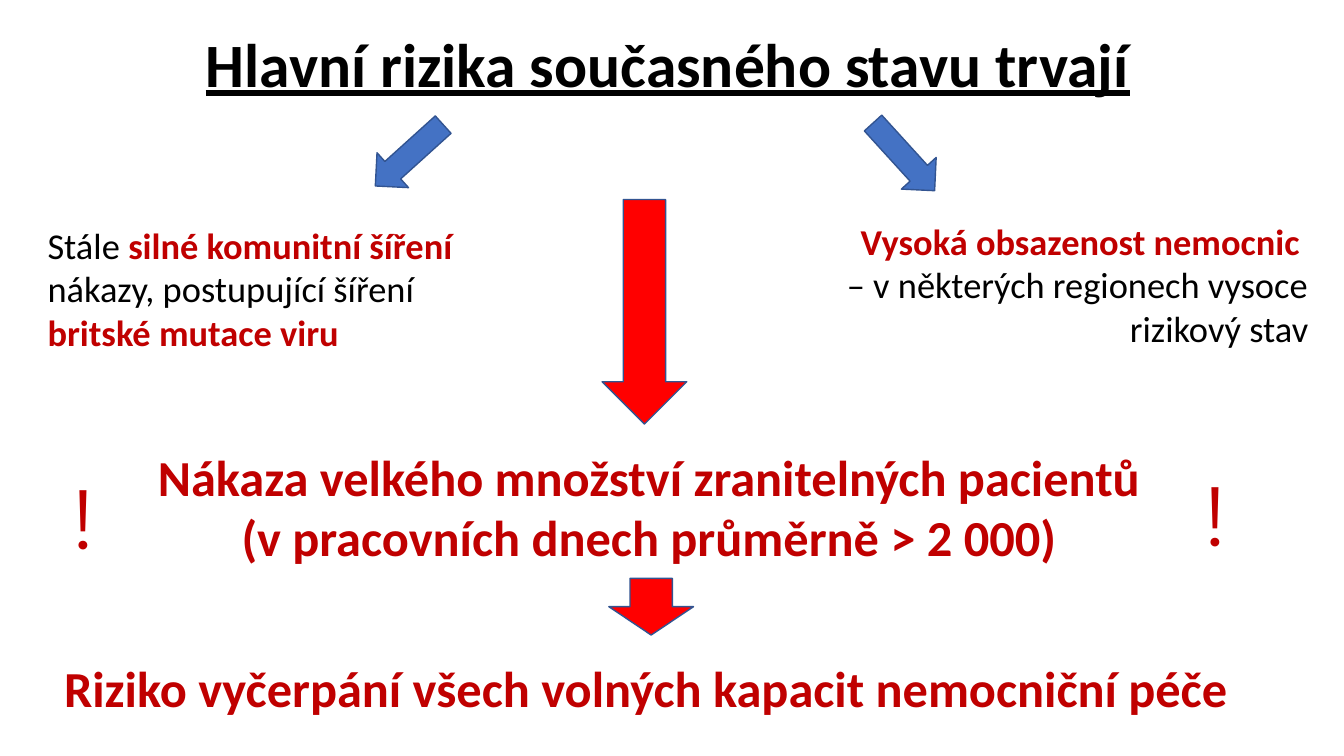
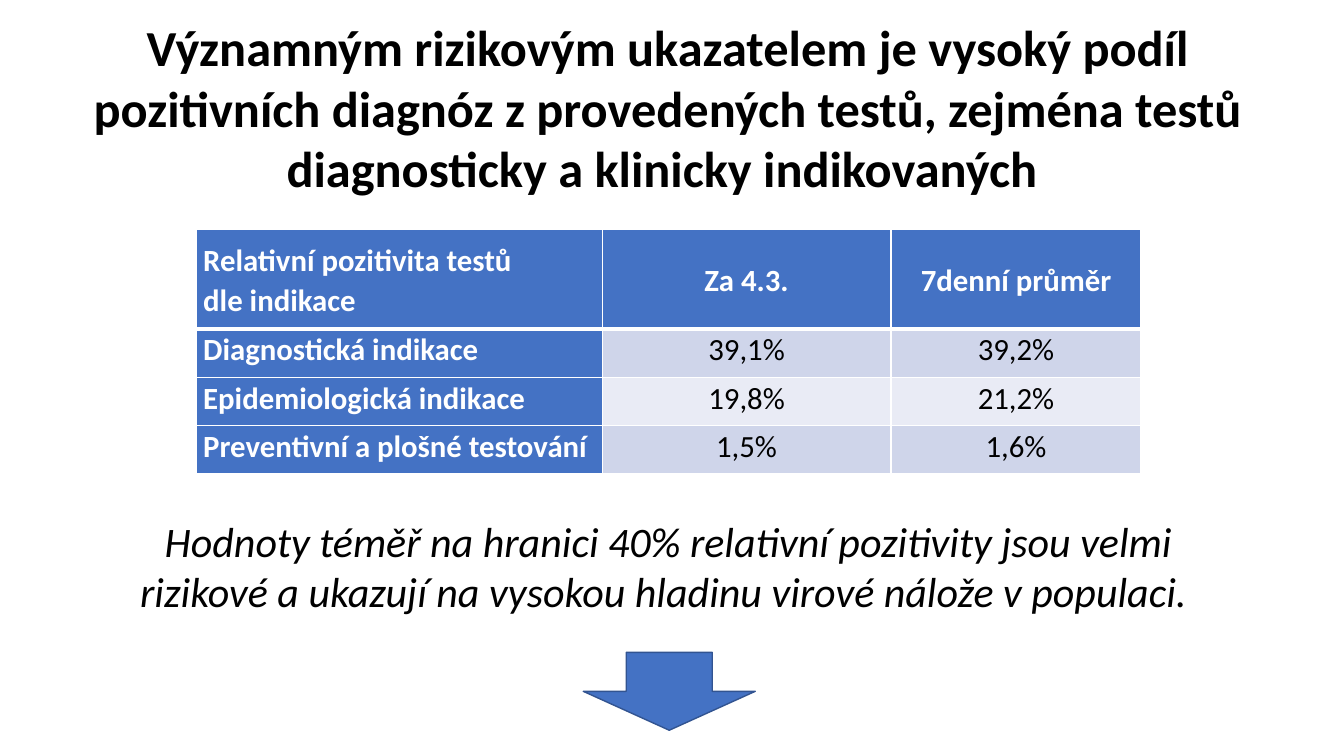
"""Build two slides on the main risks of the epidemic and on test positivity."""
from lxml.etree import SubElement as Sub
from pptx import Presentation as Deck
from pptx.dml.color import RGBColor as RGB
from pptx.enum.shapes import MSO_SHAPE as Form
from pptx.enum.text import MSO_ANCHOR as Anchor, MSO_AUTO_SIZE as Fit, PP_ALIGN as Align
from pptx.oxml.ns import qn
from pptx.util import Inches, Pt

WIDE, HIGH = Inches(13.33), Inches(7.5)
HUES = {
    "black": "000000", "white": "FFFFFF", "blue": "4472C4", "edge": "325491",
    "red": "FF0000", "dark": "C00000", "odd": "CFD5EA", "even": "E9EBF5",
}
BASE = {"name": "Calibri", "bold": False, "color": "black"}
HEAD = {"size": 44, "bold": True}
NOTE = {"size": 26}
KEY = {**NOTE, "bold": True, "color": "dark"}
BIG = {"size": 36, "bold": True, "color": "dark"}
MARK = {"size": 60, "name": "Montserrat", "color": "dark"}
QUOTE = {"size": 30, "italic": True}
DATA = {"size": 22}
LABEL = {**DATA, "bold": True, "color": "white"}
GRID = [
    ["Relativní pozitivita testů\ndle indikace", "Za 4.3.", "7denní průměr"],
    ["Diagnostická indikace", "39,1%", "39,2%"],
    ["Epidemiologická indikace", "19,8%", "21,2%"],
    ["Preventivní a plošné testování", "1,5%", "1,6%"],
]


def hue(name):
    return RGB.from_string(HUES[name])


def share_x(part):
    return round(WIDE * part / 100)


def share_y(part):
    return round(HIGH * part / 100)


def area(left, top, width, height):
    return share_x(left), share_y(top), share_x(width), share_y(height)


def style(font, form):
    for key, value in {**BASE, **form}.items():
        if key == "color":
            font.color.rgb = hue(value)
        else:
            setattr(font, key, Pt(value) if key == "size" else value)


def write(frame, paras, align, space=None):
    for num, runs in enumerate(paras):
        para = frame.add_paragraph() if num else frame.paragraphs[0]
        para.alignment = align
        if space:
            para.line_spacing = space
        for text, form in runs:
            run = para.add_run()
            run.text = text
            style(run.font, form)


def setup(frame):
    traits = {"word_wrap": True, "auto_size": Fit.NONE, "vertical_anchor": Anchor.TOP}
    for key, value in traits.items():
        setattr(frame, key, value)


def add_text(slide, place, paras, align=Align.CENTER):
    frame = slide.shapes.add_textbox(*area(*place)).text_frame
    setup(frame)
    write(frame, paras, align)


def add_slide(deck, text, top, height, form):
    slide = deck.slides.add_slide(deck.slide_layouts[5])
    title = slide.shapes.title
    sides = ("left", "top", "width", "height")
    for key, value in zip(sides, area(1.3, top, 96.8, height)):
        setattr(title, key, value)
    setup(title.text_frame)
    write(title.text_frame, [[(text, form)]], Align.CENTER)
    return slide


def add_arrow(slide, place, fill, turn=0):
    arrow = slide.shapes.add_shape(Form.DOWN_ARROW, *area(*place))
    arrow.shadow.inherit = False
    arrow.rotation = turn
    arrow.fill.solid()
    arrow.fill.fore_color.rgb = hue(fill)
    arrow.line.color.rgb = hue("edge")
    arrow.line.width = Pt(1)


def add_edges(cell, row):
    widths = {"L": 1, "R": 1, "T": 3 if row == 1 else 1, "B": 1 if row else 3}
    props = cell._tc.get_or_add_tcPr()
    for side, width in widths.items():
        line = Sub(props, qn(f"a:ln{side}"), w=str(Pt(width)))
        Sub(Sub(line, qn("a:solidFill")), qn("a:srgbClr"), val=HUES["white"])


def fill_cell(cell, text, row, col):
    label = row == 0 or col == 0
    traits = {
        "margin_left": Inches(0.07), "margin_right": Inches(0.07),
        "margin_top": 0, "margin_bottom": 0,
        "vertical_anchor": Anchor.TOP if row else Anchor.MIDDLE,
    }
    for key, value in traits.items():
        setattr(cell, key, value)
    add_edges(cell, row)
    cell.fill.solid()
    cell.fill.fore_color.rgb = hue("blue" if label else "odd" if row % 2 else "even")
    form = LABEL if label else DATA
    paras = [[(line, form)] for line in text.split("\n")]
    write(cell.text_frame, paras, Align.CENTER if col else Align.LEFT, 1.07)


def add_grid(slide, left, top, cols, rows, data):
    place = area(left, top, sum(cols), sum(rows))
    table = slide.shapes.add_table(len(rows), len(cols), *place).table
    for col, width in zip(table.columns, cols):
        col.width = share_x(width)
    for row, height in zip(table.rows, rows):
        row.height = share_y(height)
    for row, texts in enumerate(data):
        for col, text in enumerate(texts):
            fill_cell(table.cell(row, col), text, row, col)


def add_risks(deck):
    slide = add_slide(deck, "Hlavní rizika současného stavu trvají", 2.7, 11.2,
                      {**HEAD, "underline": True})
    add_arrow(slide, (28.7, 14.5, 3.5, 12.1), "blue", 47.9)
    add_arrow(slide, (65.5, 14.7, 3.5, 12.1), "blue", 317.7)
    add_text(slide, (2.8, 28.8, 33.8, 18.8), [[
        ("Stále ", NOTE), ("silné komunitní šíření ", KEY),
        ("nákazy, postupující šíření ", NOTE), ("britské mutace viru", KEY),
    ]], Align.LEFT)
    add_text(slide, (58.1, 28.3, 40, 18.8), [
        [("Vysoká obsazenost nemocnic ", KEY)],
        [("– v některých regionech vysoce rizikový stav", NOTE)],
    ], Align.RIGHT)
    add_arrow(slide, (44.8, 26.4, 6.3, 29.7), "red")
    add_text(slide, (9.3, 58.3, 78, 17.5), [[
        ("Nákaza velkého množství zranitelných pacientů "
         "(v pracovních dnech průměrně > 2 000)", BIG)]])
    add_arrow(slide, (45.3, 76.5, 6.3, 7.5), "red")
    add_text(slide, (3.1, 86.3, 90.8, 9.5), [[
        ("Riziko vyčerpání všech volných kapacit nemocniční péče ", BIG)]])
    for left, top in ((3.1, 60.9), (87.3, 60.5)):
        add_text(slide, (left, top, 6.2, 14.8), [[("!", MARK)]])


def add_tests(deck):
    slide = add_slide(
        deck, "Významným rizikovým ukazatelem je vysoký podíl pozitivních diagnóz "
        "z provedených testů, zejména testů diagnosticky a klinicky indikovaných ",
        1.5, 25.6, {**HEAD, "size": 36})
    add_arrow(slide, (43.4, 86.3, 12.8, 10.3), "blue")
    add_grid(slide, 14.6, 30.4, (30.2, 21.5, 18.6), (13.1, 6.4, 6.4, 6.4), GRID)
    add_text(slide, (9, 67.5, 81.5, 14.8), [[
        ("Hodnoty téměř na hranici 40% relativní pozitivity jsou velmi rizikové "
         "a ukazují na vysokou hladinu virové nálože v populaci. ", QUOTE)]])


def main():
    deck = Deck()
    deck.slide_width, deck.slide_height = WIDE, HIGH
    add_risks(deck)
    add_tests(deck)
    deck.save("out.pptx")


if __name__ == "__main__":
    main()
